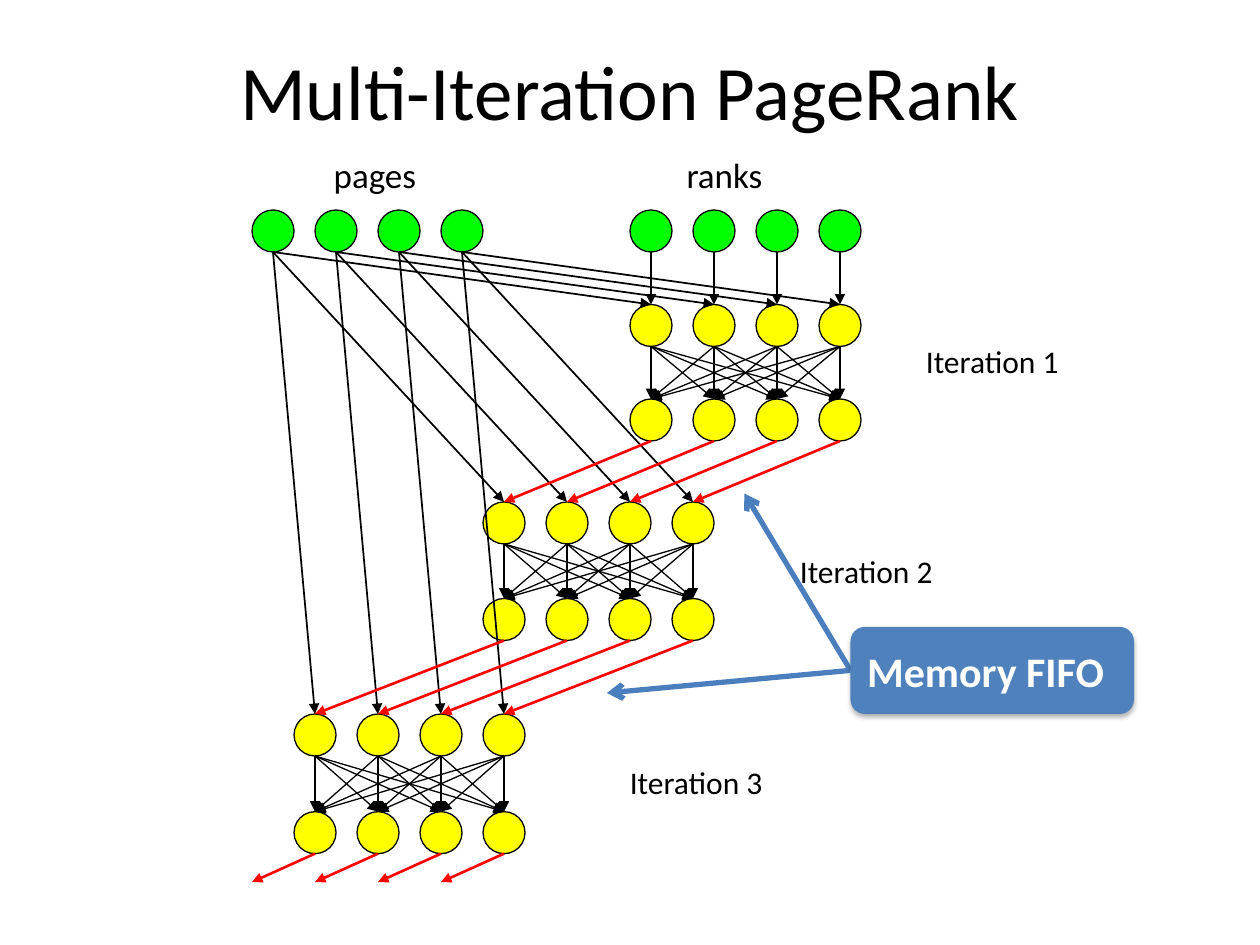
from itertools import product

from lxml import etree
from pptx import Presentation, util as u
from pptx.dml.color import RGBColor
from pptx.enum import shapes, text
from pptx.oxml.ns import qn

BLACK = RGBColor(0, 0, 0)
WHITE = RGBColor(255, 255, 255)
GREEN = RGBColor(0, 255, 0)
YELLOW = RGBColor(255, 255, 0)
RED = RGBColor(255, 0, 0)
BLUE = RGBColor(0x4F, 0x81, 0xBD)
ARROW_BLUE = RGBColor(0x4B, 0x7E, 0xBC)

FONT = "Calibri"
COLUMNS, ROWS = 60, 45
NODES, NODE, PITCH = 4, 2, 3

deck = Presentation()
deck.slide_width, deck.slide_height = u.Inches(10), u.Inches(7.5)


def col(n):
    return round(deck.slide_width * n / COLUMNS)


def row(n):
    return round(deck.slide_height * n / ROWS)


def box(left, top, width, height):
    return col(left), row(top), col(width), row(height)


def write(frame, words, size, color, bold=False):
    run = frame.paragraphs[0].add_run()
    run.text = words
    run.font.name, run.font.size, run.font.bold = FONT, u.Pt(size), bold
    run.font.color.rgb = color


def arrow(parent, start, end, color=BLACK, width=0.75, head="triangle"):
    link = parent.add_connector(
        shapes.MSO_CONNECTOR.STRAIGHT,
        col(start[0]), row(start[1]), col(end[0]), row(end[1]))
    link.line.color.rgb = color
    link.line.width = u.Pt(width)
    properties = link._element.spPr
    etree.SubElement(properties.find(qn("a:ln")), qn("a:tailEnd"), type=head)
    etree.SubElement(properties, qn("a:effectLst"))


def arrows(parent, starts, ends, color, width):
    for start, end in zip(starts, ends):
        arrow(parent, start, end, color, width)


def ports(left, top):
    return [(left + NODE / 2 + PITCH * i, top) for i in range(NODES)]


def node_row(parent, left, top, color):
    for i in range(NODES):
        node = parent.add_shape(shapes.MSO_SHAPE.OVAL,
                                *box(left + PITCH * i, top, NODE, NODE))
        node.shadow.inherit = False
        node.fill.solid()
        node.fill.fore_color.rgb = color
        node.line.color.rgb = BLACK
        node.line.width = u.Pt(0.75)
    return ports(left, top), ports(left, top + NODE)


def inputs(parent, left, top):
    return node_row(parent.add_group_shape().shapes, left, top, GREEN)[1]


def iteration(parent, left, top, height):
    stage = parent.add_group_shape().shapes
    entries, sources = node_row(stage, left, top, YELLOW)
    targets, exits = node_row(stage, left, top + height - NODE, YELLOW)
    for source, target in product(sources, targets):
        arrow(stage, source, target)
    return entries, exits


def label(parent, left, top, width, height, words, size):
    caption = parent.add_textbox(*box(left, top, width, height)).text_frame
    caption.word_wrap = False
    caption.auto_size = text.MSO_AUTO_SIZE.SHAPE_TO_FIT_TEXT
    write(caption, words, size, BLACK)


def callout(parent, left, top, width, height, words, targets):
    for target in targets:
        arrow(parent, (left, top + height / 2), target, ARROW_BLUE, 3, "arrow")
    memory = parent.add_shape(shapes.MSO_SHAPE.ROUNDED_RECTANGLE,
                              *box(left, top, width, height))
    memory.fill.solid()
    memory.fill.fore_color.rgb = BLUE
    memory.line.fill.background()
    effects = etree.SubElement(memory._element.spPr, qn("a:effectLst"))
    shade = etree.SubElement(
        effects, qn("a:outerShdw"), blurRad=str(u.Pt(3.1)),
        dist=str(u.Pt(1.8)), dir="5400000", rotWithShape="0")
    tint = etree.SubElement(shade, qn("a:srgbClr"), val=str(BLACK))
    etree.SubElement(tint, qn("a:alpha"), val="29000")
    frame = memory.text_frame
    frame.word_wrap = True
    frame.vertical_anchor = text.MSO_ANCHOR.MIDDLE
    frame.paragraphs[0].alignment = text.PP_ALIGN.LEFT
    write(frame, words, 24, WHITE, True)


def heading(slide, left, top, width, height, words):
    title = slide.shapes.title
    title.left, title.top, title.width, title.height = box(
        left, top, width, height)
    title.text_frame.vertical_anchor = text.MSO_ANCHOR.MIDDLE
    title.text_frame.paragraphs[0].alignment = text.PP_ALIGN.CENTER
    write(title.text_frame, words, 44, BLACK)


def pagerank_slide():
    slide = deck.slides.add_slide(deck.slide_layouts[5])
    canvas = slide.shapes
    heading(slide, 3, 0.5, 54, 7.5, "Multi-Iteration PageRank")

    pages = inputs(canvas, 12, 10)
    ranks = inputs(canvas, 30, 10)
    stages = [iteration(canvas, *area) for area in (
        (30, 14.5, 6.5), (23, 23.9, 6.6), (14, 34, 6.65))]

    feeds, color, width = ranks, BLACK, 0.75
    for entries, exits in stages:
        arrows(canvas, pages, entries, BLACK, 1)
        arrows(canvas, feeds, entries, color, width)
        feeds, color, width = exits, RED, 1.5
    arrows(canvas.add_group_shape().shapes, feeds, ports(11, 42), RED, 1.5)

    for left, top, span, words, size in (
            (15.3, 7, 5.15, "pages", 20),
            (32.1, 7, 4.85, "ranks", 20),
            (43.5, 16, 7.6, "Iteration 1", 18),
            (37.5, 26, 7.6, "Iteration 2", 18),
            (29.4, 36.05, 7.6, "Iteration 3", 18)):
        label(canvas, left, top, span, 2.4, words, size)
    callout(canvas, 40.5, 29.85, 13.5, 4.15, "Memory FIFO",
            ((35.45, 23.5), (28.9, 33)))


pagerank_slide()
deck.save("out.pptx")
